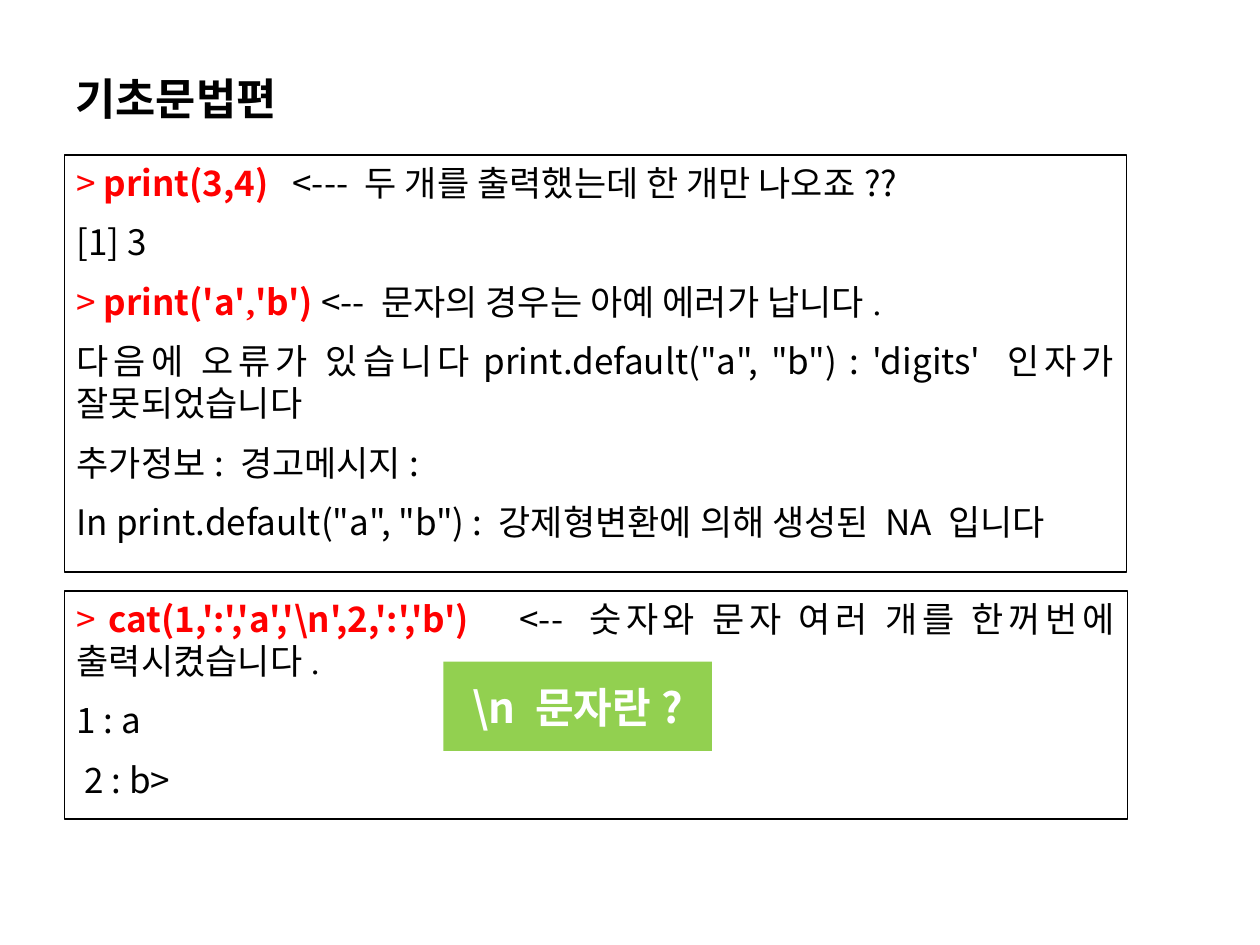
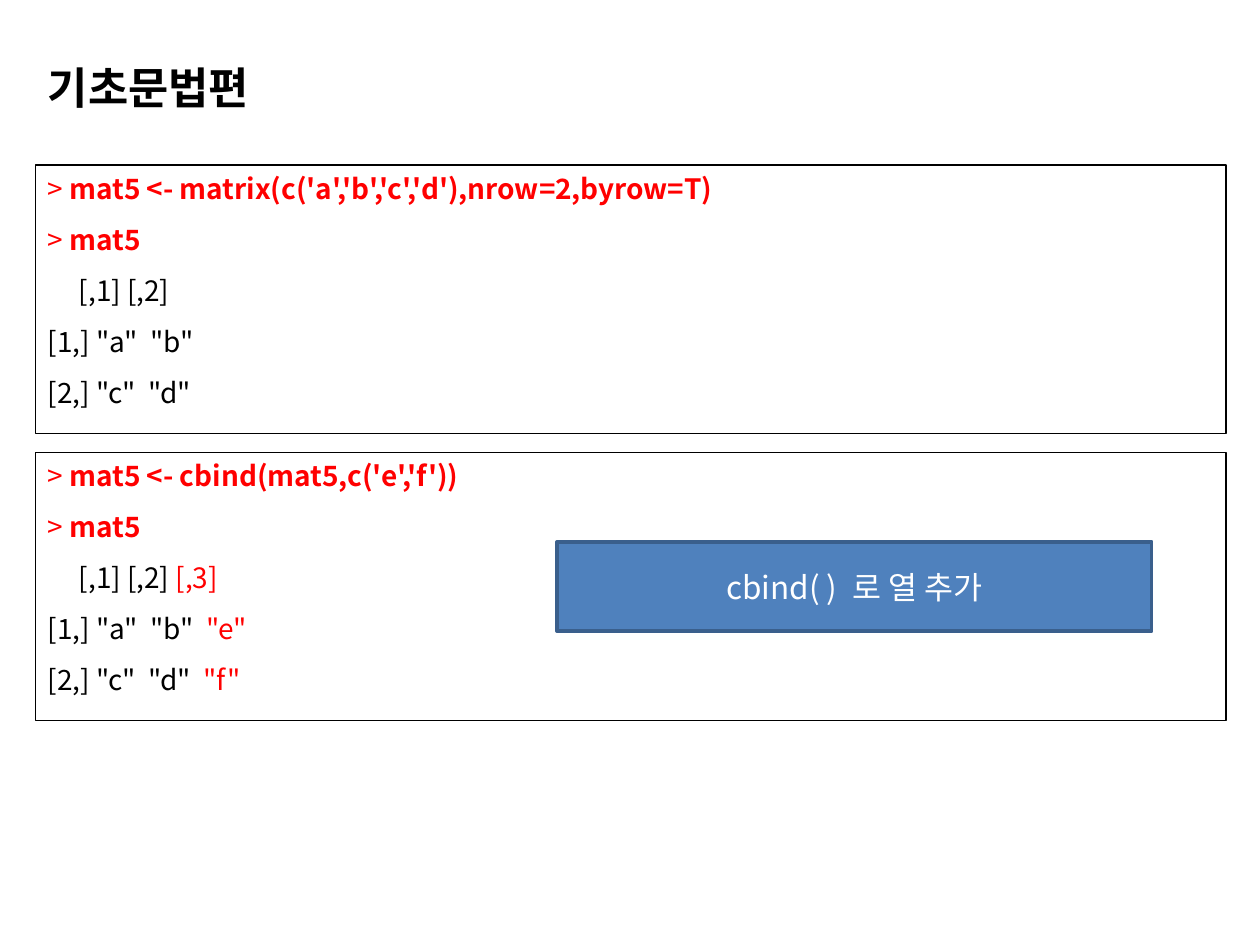
"""Build two slides on basic R syntax: printing values and adding matrix columns."""
from pptx import Presentation
from pptx.dml.color import RGBColor
from pptx.enum.shapes import MSO_SHAPE
from pptx.enum.text import MSO_ANCHOR, MSO_AUTO_SIZE, PP_ALIGN
from pptx.util import Pt
from lxml import etree

RECTANGLE = MSO_SHAPE.RECTANGLE
TOP, MIDDLE = MSO_ANCHOR.TOP, MSO_ANCHOR.MIDDLE
LEFT, CENTER, JUSTIFY = PP_ALIGN.LEFT, PP_ALIGN.CENTER, PP_ALIGN.JUSTIFY
FIT_SHAPE = MSO_AUTO_SIZE.SHAPE_TO_FIT_TEXT

PX = 9144
SANS, SERIF = "Noto Sans CJK KR", "Times New Roman"
DRAWING = "http://schemas.openxmlformats.org/drawingml/2006/main"
COLORS = {
    "black": "000000", "white": "FFFFFF", "red": "FF0000",
    "green": "92D050", "blue": "4F81BD", "navy": "3A5F8C",
}
STYLES = {
    "plain": ("black", False, SANS),
    "stop": ("black", False, SERIF),
    "new": ("red", False, SANS),
    "code": ("red", True, SANS),
    "comma": ("red", True, SERIF),
    "title": ("black", True, SANS),
    "callout": ("white", False, SANS),
    "callout bold": ("white", True, SANS),
}
PROMPT = ("> ", "new")


def write(frame, lines, size, align, space_after=0):
    """Fill a text frame with paragraphs made of (text, style) runs."""
    for index, line in enumerate(lines):
        paragraph = frame.add_paragraph() if index else frame.paragraphs[0]
        paragraph.alignment = align
        paragraph.space_after = Pt(space_after)
        for text, style in line:
            color, bold, typeface = STYLES[style]
            run = paragraph.add_run()
            run.text = text
            run.font.size = Pt(size)
            run.font.bold = bold
            run.font.name = typeface
            run.font.color.rgb = RGBColor.from_string(COLORS[color])
            east_asian = etree.Element(f"{{{DRAWING}}}ea", typeface=typeface)
            run.font._element.find(f"{{{DRAWING}}}latin").addnext(east_asian)


def add_box(slide, place, fill, line, line_width, anchor):
    """Add a rectangle and return its text frame."""
    box = slide.shapes.add_shape(RECTANGLE, *(value * PX for value in place))
    box.shadow.inherit = False
    box.fill.solid()
    box.fill.fore_color.rgb = RGBColor.from_string(COLORS[fill])
    if line:
        box.line.color.rgb = RGBColor.from_string(COLORS[line])
        box.line.width = Pt(line_width)
    else:
        box.line.fill.background()
    box.text_frame.word_wrap = True
    box.text_frame.vertical_anchor = anchor
    return box.text_frame


print_lines = [
    [PROMPT, ("print(3,4)", "code"), ("   <--- 두 개를 출력했는데 한 개만 나오죠??", "plain")],
    [("[1] 3", "plain")],
    [PROMPT, ("print('a'", "code"), (",", "comma"), ("'b') ", "code"),
     ("<-- 문자의 경우는 아예 에러가 납니다", "plain"), (".", "stop")],
    [("다음에 오류가 있습니다print.default(\"a\", \"b\") : 'digits' 인자가 잘못되었습니다", "plain")],
    [("추가정보: 경고메시지:", "plain")],
    [('In print.default("a", "b") : 강제형변환에 의해 생성된 NA 입니다', "plain")],
]
cat_lines = [
    [PROMPT, ("cat(1,':','a','\\n',2,':','b')", "code"),
     ("    <-- 숫자와 문자 여러 개를 한꺼번에 출력시켰습니다", "plain"), (".", "stop")],
    [("1 : a ", "plain")],
    [(" 2 : b>", "plain")],
]
matrix_lines = [
    [PROMPT, ("mat5 <- matrix(c('a','b','c','d'),nrow=2,byrow=T)", "code")],
    [PROMPT, ("mat5", "code")],
    [("     [,1] [,2]", "plain")],
    [('[1,] "a"  "b" ', "plain")],
    [('[2,] "c"  "d" ', "plain")],
]
cbind_lines = [
    [PROMPT, ("mat5 <- cbind(mat5,c('e','f'))", "code")],
    [PROMPT, ("mat5", "code")],
    [("     [,1] [,2] ", "plain"), ("[,3]", "new")],
    [('[1,] "a"  "b"  ', "plain"), ('"e" ', "new")],
    [('[2,] "c"  "d"  ', "plain"), ('"f"', "new")],
]
lessons = [
    {
        "title at": (50, 52), "code size": 20,
        "consoles": [((51, 123, 843, 331), print_lines), ((51, 469, 844, 181), cat_lines)],
        "callout": ((352, 525, 213, 71), "green", None, 0),
        "callout text": ("\\n 문자란?", "callout bold"), "callout size": 24,
    },
    {
        "title at": (28, 43), "code size": 16,
        "consoles": [((28, 131, 945, 213), matrix_lines), ((28, 359, 945, 213), cbind_lines)],
        "callout": ((442, 430, 472, 71), "blue", "navy", 2),
        "callout text": ("cbind( ) 로 열 추가", "callout"), "callout size": 18,
    },
]

deck = Presentation()
deck.slide_width, deck.slide_height = 1000 * PX, 750 * PX
title_only = deck.slide_layouts[5]

for lesson in lessons:
    slide = deck.slides.add_slide(title_only)
    title = slide.shapes.title
    title.left, title.top = (value * PX for value in lesson["title at"])
    title.width, title.height = 196 * PX, 52 * PX
    title.text_frame.word_wrap = False
    title.text_frame.auto_size = FIT_SHAPE
    title.text_frame.vertical_anchor = TOP
    write(title.text_frame, [[("기초문법편", "title")]], 25, LEFT)

    for place, lines in lesson["consoles"]:
        console = add_box(slide, place, "white", "black", 0.75, TOP)
        write(console, lines, lesson["code size"], JUSTIFY, 10)

    callout = add_box(slide, *lesson["callout"], MIDDLE)
    write(callout, [[lesson["callout text"]]], lesson["callout size"], CENTER)

deck.save("out.pptx")
